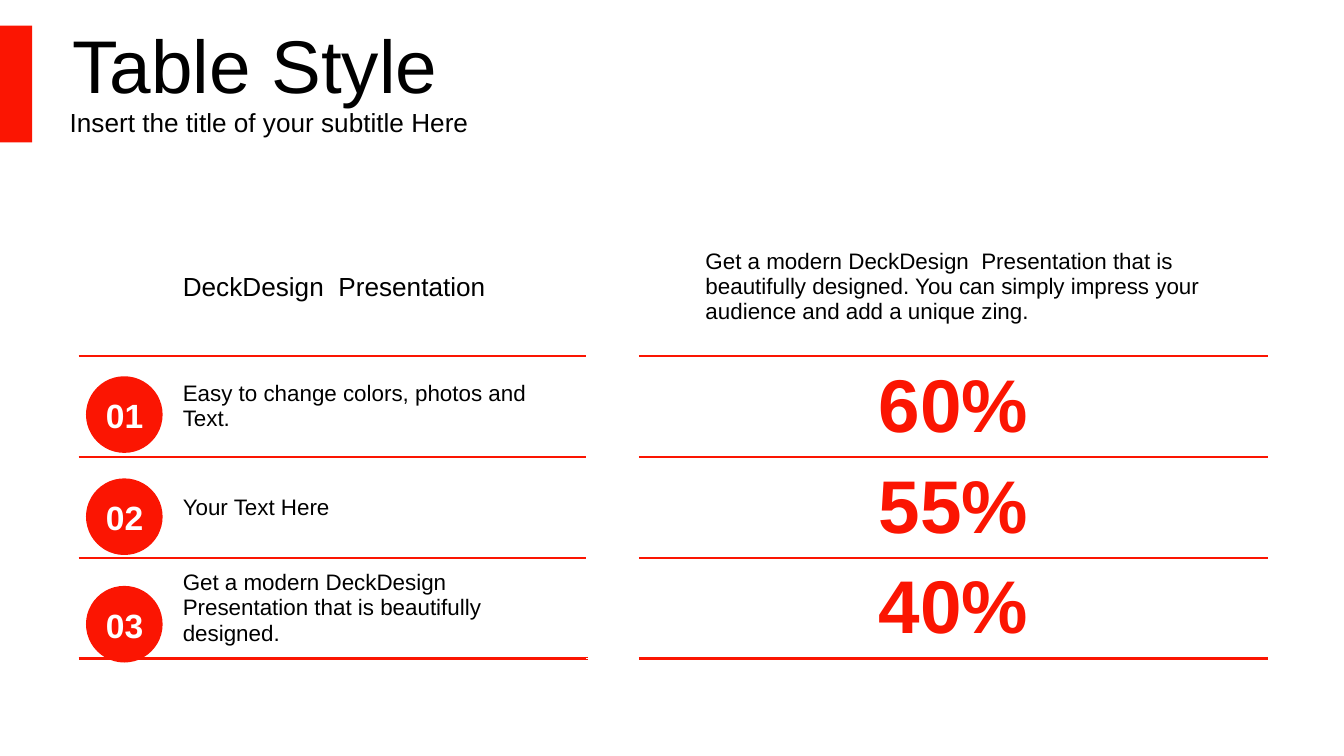
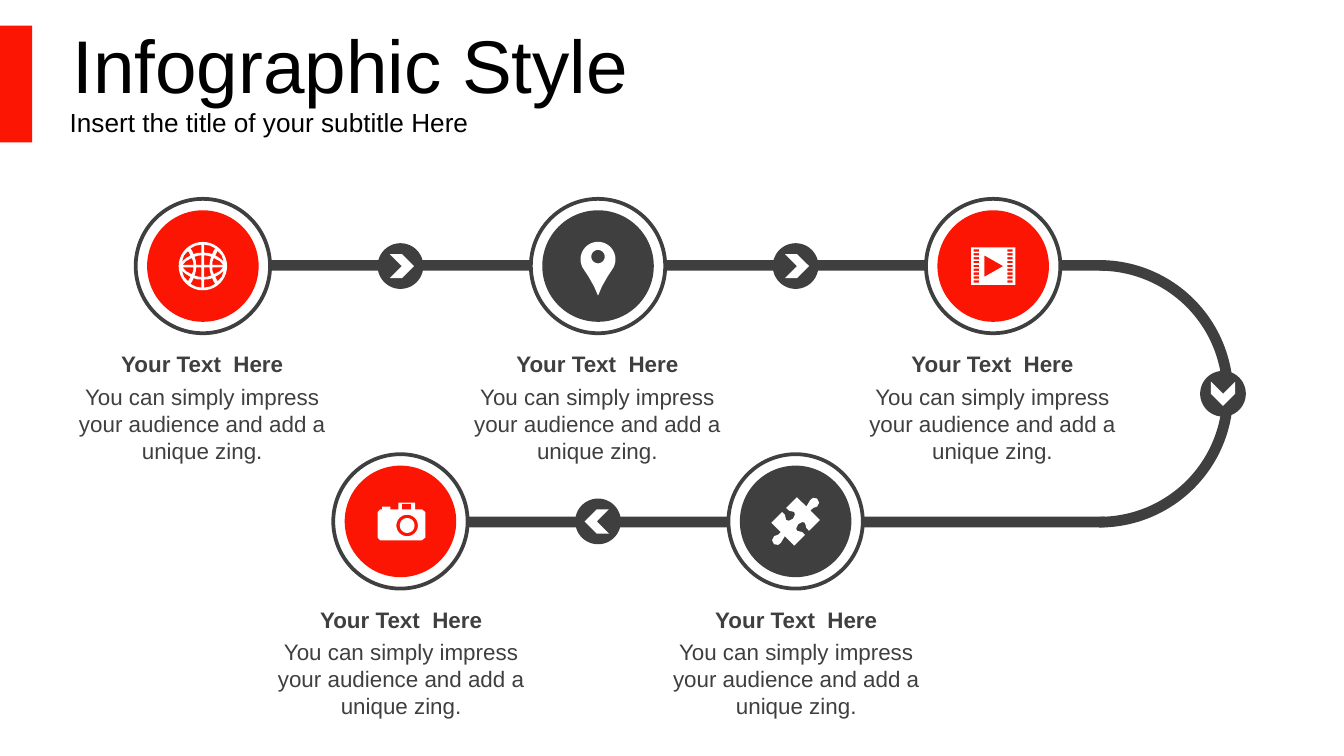
from dataclasses import dataclass
from itertools import product
from math import cos, radians, sin

from lxml import etree
from pptx import Presentation
from pptx.dml.color import RGBColor
from pptx.enum.shapes import MSO_SHAPE
from pptx.enum.text import MSO_ANCHOR, PP_ALIGN
from pptx.oxml.ns import qn
from pptx.util import Inches, Pt

RECT, OVAL = MSO_SHAPE.RECTANGLE, MSO_SHAPE.OVAL
CHEVRON, ARC = MSO_SHAPE.CHEVRON, MSO_SHAPE.BLOCK_ARC
TOP, MIDDLE = MSO_ANCHOR.TOP, MSO_ANCHOR.MIDDLE
LEFT, CENTER = PP_ALIGN.LEFT, PP_ALIGN.CENTER


@dataclass(frozen=True)
class Theme:
    font: str = "Arial"
    red: str = "FB1502"
    gray: str = "3F3F3F"
    white: str = "FFFFFF"
    black: str = "000000"
    display: int = 40
    number: int = 18
    heading: int = 14
    body: int = 12
    rule: float = 1.5


THEME = Theme()
WIDTH = 10
HEIGHT = WIDTH * 9 / 16

# Infographic grid: stations stand on half-step columns and two rows
FIRST_X, HALF_STEP = 1.51, 1.47
ROWS_Y = (1.98, 3.88)
BAR, BEND_X, BEND_SIZE = 0.08, 8.18, 1.99

# Comparison table
TABLE_LEFT, TABLE_TOP = 0.59, 1.62
COLUMNS = (0.67, 3.11, 0.39, 0.39, 3.89, 0.39)
ROWS = (1.03, 0.75, 0.75, 0.75)
LABEL, GAP, VALUE, DETAIL = 1, 2, 3, 4
BADGE_LEFT, BADGE, BADGE_TOPS = 0.64, 0.57, (2.8, 3.56, 4.36)


def write(frame, text, size, color=THEME.black, bold=False, align=LEFT, anchor=TOP):
    frame.word_wrap = True
    frame.vertical_anchor = anchor
    paragraph = frame.paragraphs[0]
    paragraph.alignment = align
    run = paragraph.add_run()
    run.text = text
    for name, value in dict(name=THEME.font, size=Pt(size), bold=bold).items():
        setattr(run.font, name, value)
    run.font.color.rgb = RGBColor.from_string(color)


def add_text(slide, text, left, top, width, height, size, inset=0.05, **style):
    frame = slide.shapes.add_textbox(*map(Inches, (left, top, width, height))).text_frame
    frame.margin_top = frame.margin_bottom = Inches(inset)
    write(frame, text, size, **style)


def paint(shape, fill, line=None):
    shape.shadow.inherit = False
    shape.fill.solid()
    shape.fill.fore_color.rgb = RGBColor.from_string(fill)
    if line:
        shape.line.color.rgb = RGBColor.from_string(line)
        shape.line.width = Pt(2)
    else:
        shape.line.fill.background()


def add_block(slide, kind, left, top, width, height, fill, line=None):
    shape = slide.shapes.add_shape(kind, *map(Inches, (left, top, width, height)))
    paint(shape, fill, line)
    return shape


def add_centered(slide, kind, x, y, size, fill, line=None):
    return add_block(slide, kind, x - size / 2, y - size / 2, size, size, fill, line)


def add_header(slide, title):
    add_block(slide, RECT, 0, 0.19, 0.24, 0.87, THEME.red)
    add_text(slide, "Insert the title of your subtitle Here", 0.42, 0.76, 7.86, 0.29,
             THEME.heading, inset=0.1, anchor=MIDDLE)
    add_text(slide, title, 0.44, 0.19, 7.85, 0.57, THEME.display, inset=0.1, anchor=MIDDLE)


# Icons are lists of outlines in hundredths of an inch around their centre;
# an outline inside another one cuts a hole.

def arc(radius, x=0, y=0, start=0, end=360, steps=40):
    angles = [radians(start + (end - start) * i / steps) for i in range(steps + 1)]
    return [(x + radius * cos(a), y + radius * sin(a)) for a in angles]


def box(left, top, right, bottom):
    return [(left, top), (right, top), (right, bottom), (left, bottom)]


def globe():
    quarter = [
        [(1, 1), (8, 1), (7.8, 3.5), (7, 6.2), (4, 5.3), (1, 5)],
        [(1, 7), (3.5, 7.2), (6, 8.2), (3.8, 12.5), (1, 15)],
        [(10, 1), (16, 1), (15.2, 5.5), (13.2, 9.2), (11, 7.8), (9, 7), (9.8, 4)],
        [(3.5, 15.5), (6, 12.5), (8, 9.2), (11.3, 11), (8, 14)],
    ]
    panes = [[(x * sx, y * sy) for x, y in pane]
             for sx, sy in product((1, -1), repeat=2) for pane in quarter]
    return [arc(18), *panes]


def pin():
    tip = [(7, 8), (3, 15), (0, 22), (-3, 15), (-7, 8)]
    return [arc(13, y=-5, start=150, end=390) + tip, arc(5, y=-7)]


def film():
    tops = [-12.5 + 2.88 * i for i in range(9)]
    holes = [box(left, top, left + 4, top + 1.7) for left in (-14.5, 10.5) for top in tops]
    return [box(-16.5, -14, 16.5, 14), *holes, [(-6.5, -8), (-6.5, 8), (7.5, 0)]]


def camera():
    body = [(-17, -7), (-15, -9), (-13.5, -9), (-13.5, -11), (-7.5, -11), (-7.5, -9),
            (-1.5, -9), (-1.5, -14), (11, -14), (11, -9), (16, -9), (18.5, -7),
            (18.5, 12), (16, 14), (-15, 14), (-17, 12)]
    return [body, box(1, -13, 8, -9), arc(8, 5, 3), arc(5.5, 5, 3)]


def puzzle():
    half = [(11, -16), (13, -17.5), (16, -17), (17.5, -14), (16, -11), (13, -10), (11, -8),
            (18, -1), (10, 7), (8, 5), (7, 1), (5, 0.5), (2, 2), (0.5, 5), (1, 7),
            (5, 8), (7, 10), (-1, 18), (-8, 11)]
    return [half + [(-x, -y) for x, y in half]]


def add_icon(slide, outlines, x, y, turn=0):
    fine = [[(px * 100, py * 100) for px, py in outline] for outline in outlines]
    builder = slide.shapes.build_freeform(*fine[0][0], scale=Inches(1) / 10000)
    builder.add_line_segments(fine[0][1:])
    for outline in fine[1:]:
        builder.move_to(*outline[0])
        builder.add_line_segments(outline[1:])
    icon = builder.convert_to_shape(Inches(x), Inches(y))
    icon.rotation = turn
    paint(icon, THEME.white)


def grid_point(column, row):
    return FIRST_X + column * HALF_STEP, ROWS_Y[row]


def add_station(slide, column, row, color, icon, turn=0):
    x, y = grid_point(column, row)
    add_centered(slide, OVAL, x, y, 1, THEME.white, THEME.gray)
    add_centered(slide, OVAL, x, y, 0.83, color)
    add_icon(slide, icon, x, y, turn)
    caption = dict(color=THEME.gray, align=CENTER)
    left = x - 1.11 + 0.01 * row
    add_text(slide, "You can simply impress your audience and add a unique zing.",
             left, y + 0.82, 2.21, 0.71, THEME.body, **caption)
    add_text(slide, "Your Text  Here", left, y + 0.58, 2.21, 0.3,
             THEME.body, bold=True, **caption)


def add_direction(slide, x, y, turn=0):
    add_centered(slide, OVAL, x, y, 0.34, THEME.gray)
    nudge = 0.01 * cos(radians(turn))
    add_centered(slide, CHEVRON, x + nudge, y, 0.18, THEME.white).rotation = turn


def add_track(slide):
    middle = sum(ROWS_Y) / 2
    bend = add_centered(slide, ARC, BEND_X, middle, BEND_SIZE, THEME.gray)
    for i, value in enumerate((162, 54, 0.04)):
        bend.adjustments[i] = value
    for column, y in ((0, middle - BEND_SIZE / 2), (1, middle + BEND_SIZE / 2 - BAR)):
        start = FIRST_X + column * HALF_STEP
        add_block(slide, RECT, start, y, BEND_X + 0.04 - start, BAR, THEME.gray)


def rule(cell, side):
    line = etree.SubElement(cell._tc.get_or_add_tcPr(), qn(f"a:{side}"),
                            w=str(Pt(THEME.rule)))
    fill = etree.SubElement(line, qn("a:solidFill"))
    etree.SubElement(fill, qn("a:srgbClr"), val=THEME.red)


def add_comparison(slide, heading, detail, entries):
    table = slide.shapes.add_table(
        len(ROWS), len(COLUMNS),
        *map(Inches, (TABLE_LEFT, TABLE_TOP, sum(COLUMNS), sum(ROWS)))).table
    table.first_row = table.horz_banding = False
    for column, width in zip(table.columns, COLUMNS):
        column.width = Inches(width)
    for row, height in zip(table.rows, ROWS):
        row.height = Inches(height)
    for r, c in product(range(len(ROWS)), range(len(COLUMNS))):
        cell = table.cell(r, c)
        if c != GAP:
            for side in ("lnT", "lnB") if r else ("lnB",):
                rule(cell, side)
        cell.fill.background()

    def fill_cell(row, column, text, size, **style):
        cell = table.cell(row, column)
        write(cell.text_frame, text, size, **style)
        cell.vertical_anchor = MIDDLE

    fill_cell(0, LABEL, heading, THEME.heading)
    fill_cell(0, DETAIL, detail, THEME.body)
    for r, (label, value) in enumerate(entries, 1):
        table.cell(r, VALUE).merge(table.cell(r, len(COLUMNS) - 1))
        fill_cell(r, LABEL, label, THEME.body)
        fill_cell(r, VALUE, value, THEME.display, color=THEME.red, bold=True, align=CENTER)


def add_badge(slide, number, top):
    add_block(slide, OVAL, BADGE_LEFT, top, BADGE, BADGE, THEME.red)
    add_text(slide, f"{number:02}", BADGE_LEFT + 0.05, top + 0.09, 0.48, 0.4,
             THEME.number, color=THEME.white, bold=True)


def build_table_slide(slide):
    add_comparison(
        slide, "DeckDesign  Presentation",
        "Get a modern DeckDesign  Presentation that is beautifully designed. "
        "You can simply impress your audience and add a unique zing.",
        [("Easy to change colors, photos and Text.", "60%"),
         ("Your Text Here", "55%"),
         ("Get a modern DeckDesign  Presentation that is beautifully designed.", "40%")])
    for number, top in enumerate(BADGE_TOPS, 1):
        add_badge(slide, number, top)
    add_header(slide, "Table Style")


def build_infographic_slide(slide):
    add_track(slide)
    add_station(slide, 0, 0, THEME.red, globe(), turn=270)
    add_station(slide, 2, 0, THEME.gray, pin())
    add_station(slide, 4, 0, THEME.red, film())
    add_station(slide, 1, 1, THEME.red, camera())
    add_station(slide, 3, 1, THEME.gray, puzzle())
    for column, row, turn in ((1, 0, 0), (3, 0, 0), (2, 1, 180)):
        add_direction(slide, *grid_point(column, row), turn)
    add_direction(slide, 9.1, sum(ROWS_Y) / 2, 90)
    add_header(slide, "Infographic Style")


def main():
    deck = Presentation()
    deck.slide_width, deck.slide_height = Inches(WIDTH), Inches(HEIGHT)
    blank = deck.slide_layouts[6]
    for build in (build_table_slide, build_infographic_slide):
        build(deck.slides.add_slide(blank))
    deck.save("out.pptx")


if __name__ == "__main__":
    main()
